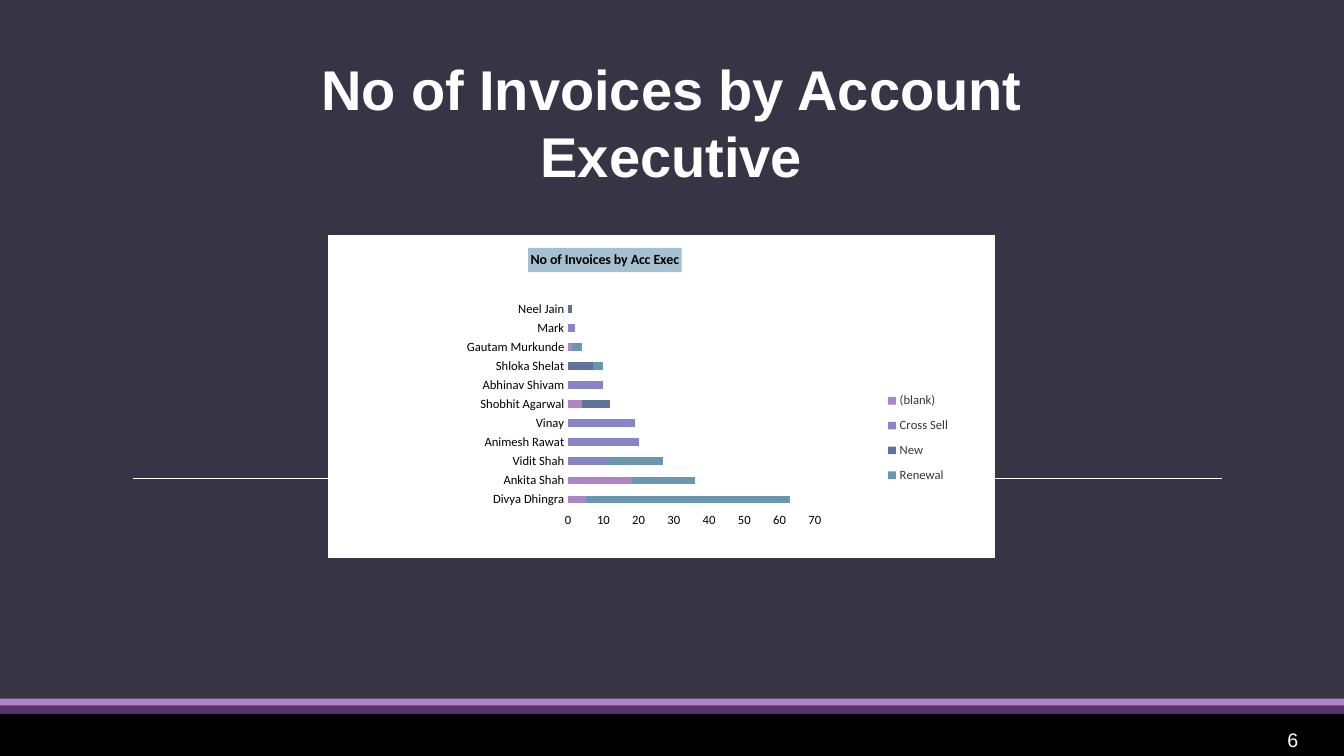
from lxml.etree import SubElement as Sub
from pptx import Presentation
from pptx.chart.data import CategoryChartData as ChartData
from pptx.dml.color import RGBColor
from pptx.enum.chart import XL_CHART_TYPE as Kind, XL_LEGEND_POSITION as Side, XL_TICK_MARK as Tick
from pptx.enum.shapes import MSO_CONNECTOR as Link, MSO_SHAPE as Shape
from pptx.enum.text import MSO_ANCHOR as Anchor, MSO_AUTO_SIZE as Fit, PP_ALIGN as Align
from pptx.oxml import parse_xml
from pptx.oxml.ns import nsdecls, qn
from pptx.util import Pt

NIGHT = RGBColor(0x37, 0x35, 0x45)
WHITE = RGBColor(0xFF, 0xFF, 0xFF)
BLACK = RGBColor(0, 0, 0)
PLUM = RGBColor(0x5A, 0x34, 0x71)
LILAC = RGBColor(0xAD, 0x84, 0xC6)
VIOLET = RGBColor(0x87, 0x84, 0xC7)
SLATE = RGBColor(0x5D, 0x73, 0x9A)
TEAL = RGBColor(0x69, 0x97, 0xAF)
MIST = RGBColor(0xA5, 0xC1, 0xCF)

WIDE, HIGH = 960, 540
NAMES = ["Divya Dhingra", "Ankita Shah", "Vidit Shah", "Animesh Rawat", "Vinay",
         "Shobhit Agarwal", "Abhinav Shivam", "Shloka Shelat", "Gautam Murkunde",
         "Mark", "Neel Jain"]
SERIES = [
    ("(blank)", LILAC, {0: 5, 1: 18, 5: 4, 8: 1}),
    ("Cross Sell", VIOLET, {2: 12, 3: 20, 4: 19, 6: 10, 9: 2}),
    ("New", SLATE, {5: 8, 7: 7, 10: 1}),
    ("Renewal", TEAL, {0: 58, 1: 18, 2: 15, 7: 3, 8: 3}),
]


def points(box):
    return [Pt(side) for side in box]


def style(font, size, color, face, bold=False):
    font.size, font.name, font.bold = Pt(size), face, bold
    font.color.rgb = color


def paint(target, color):
    target.fill.solid()
    target.fill.fore_color.rgb = color


def write(frame, text, size, bold=False):
    frame.auto_size = Fit.NONE
    frame.word_wrap = True
    frame.vertical_anchor = Anchor.TOP
    frame.text = text
    para = frame.paragraphs[0]
    para.alignment = Align.CENTER
    para.line_spacing = 1
    style(para.font, size, WHITE, "Arial", bold)


def add_head(slide, box):
    title = slide.shapes.title
    title.left, title.top, title.width, title.height = points(box)
    write(title.text_frame, "No of Invoices by Account Executive", 40, True)


def add_rule(slide, box):
    left, top, width, height = box
    rule = slide.shapes.add_connector(
        Link.STRAIGHT, *points((left, top, left + width, top + height)))
    rule.line.color.rgb = WHITE
    rule.line.width = Pt(0.5)
    Sub(rule._element.spPr, qn("a:effectLst"))


def add_foot(slide, box):
    left, top, width, height = box
    for drop, tall, color in ((0, 5, LILAC), (5, 6, PLUM), (11, height - 11, BLACK)):
        band = slide.shapes.add_shape(
            Shape.RECTANGLE, *points((left, top + drop, width, tall)))
        band.shadow.inherit = False
        paint(band, color)
        band.line.fill.background()
    page = slide.shapes.add_textbox(
        *points((left + width - 58.5, top + 17.5, 44, 23)))
    write(page.text_frame, "6", 14)


def place(node, index, **spots):
    for old in node.findall(qn("c:layout")):
        node.remove(old)
    layout = parse_xml(f"<c:layout {nsdecls('c')}/>")
    manual = Sub(layout, qn("c:manualLayout"))
    for tag, value in spots.items():
        Sub(manual, qn("c:" + tag)).set("val", str(value))
    node.insert(index, layout)


def add_bars(slide, box):
    data = ChartData()
    data.categories = NAMES
    for name, _, counts in SERIES:
        data.add_series(name, [counts.get(row) for row in range(len(NAMES))])
    chart = slide.shapes.add_chart(Kind.BAR_STACKED, *points(box), data).chart
    style(chart.font, 10, BLACK, "Calibri")
    space = chart._chartSpace
    back = parse_xml(
        f"<c:spPr {nsdecls('c', 'a')}><a:solidFill><a:srgbClr val='{WHITE}'/></a:solidFill>"
        f"<a:ln w='9525'><a:solidFill><a:srgbClr val='{WHITE}'/></a:solidFill></a:ln></c:spPr>")
    space.find(qn("c:chart")).addnext(back)

    plot = chart.plots[0]
    plot.gap_width, plot.overlap = 150, 100
    plot.vary_by_categories = False
    for series, (_, color, _) in zip(plot.series, SERIES):
        paint(series.format, color)
        series.invert_if_negative = False
    place(chart._chartSpace.chart.plotArea, 0, layoutTarget="inner", xMode="edge",
          yMode="edge", x=0.36, y=0.2, w=0.37, h=0.65)

    for axis in (chart.category_axis, chart.value_axis):
        axis.major_tick_mark = axis.minor_tick_mark = Tick.NONE
        axis.has_major_gridlines = False
        style(axis.tick_labels.font, 9, BLACK, "Calibri")
    chart.category_axis.format.line.color.rgb = WHITE
    chart.category_axis.format.line.width = Pt(0.75)
    chart.value_axis.format.line.fill.background()
    chart.value_axis.minimum_scale = 0
    chart.value_axis.maximum_scale = 70
    chart.value_axis.major_unit = 10

    title = chart.chart_title
    title.text_frame.text = "No of Invoices by Acc Exec"
    style(title.text_frame.paragraphs[0].font, 10, BLACK, "Calibri", True)
    paint(title.format, MIST)
    place(title._element, 1, xMode="edge", yMode="edge", x=0.3, y=0.04)

    chart.has_legend = True
    legend = chart.legend
    legend.position = Side.RIGHT
    legend.include_in_layout = False
    style(legend.font, 9, NIGHT, "Calibri")
    place(legend._element, 1, xMode="edge", yMode="edge", x=0.82, y=0.46, w=0.13, h=0.34)


def main():
    deck = Presentation()
    deck.slide_width, deck.slide_height = Pt(WIDE), Pt(HIGH)
    slide = deck.slides.add_slide(deck.slide_layouts[5])
    paint(slide.background, NIGHT)
    add_head(slide, (172, 35, 615, 104))
    add_rule(slide, (95, 342, 778, 0))
    add_foot(slide, (0, 499, WIDE, HIGH - 499))
    add_bars(slide, (234, 167.5, 477, 231))
    deck.save("out.pptx")


if __name__ == "__main__":
    main()
